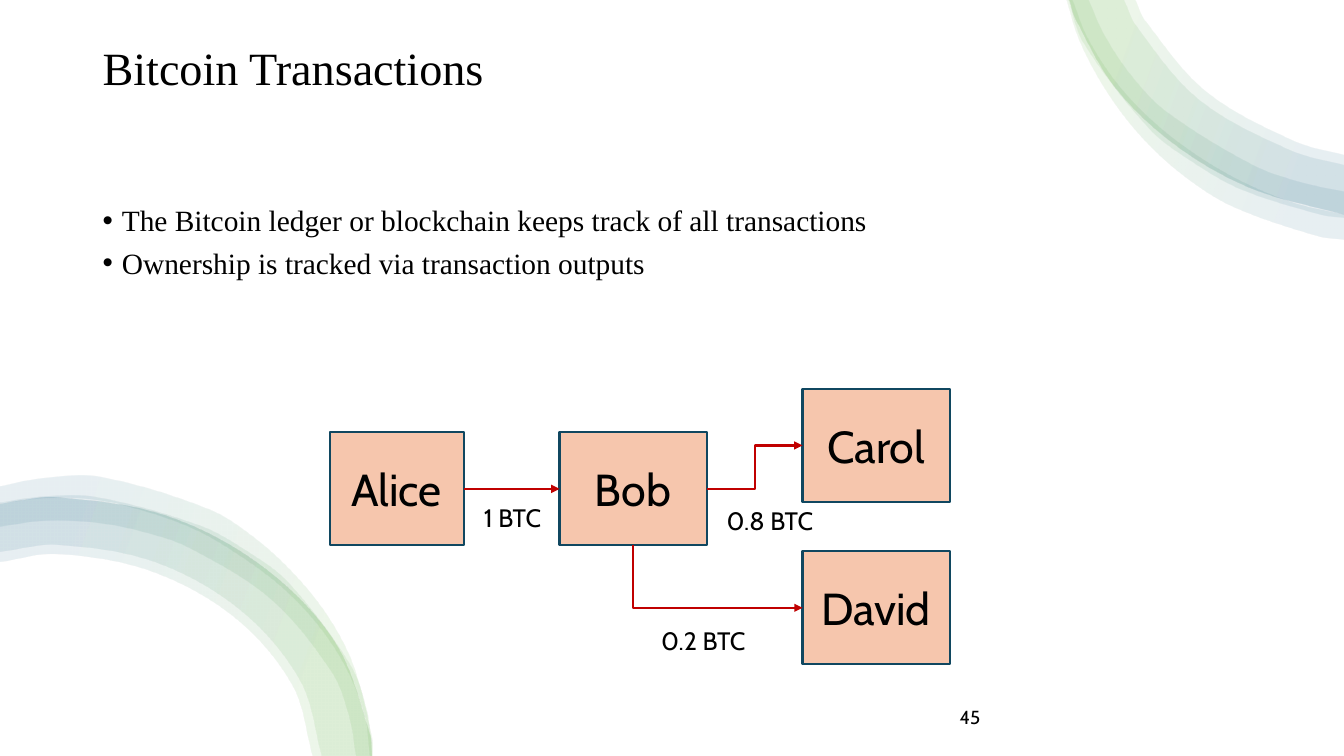
from math import dist

from lxml.etree import SubElement
from pptx import Presentation
from pptx.dml.color import RGBColor
from pptx.enum.shapes import MSO_CONNECTOR, MSO_SHAPE
from pptx.enum.text import MSO_ANCHOR, PP_ALIGN
from pptx.oxml.ns import qn
from pptx.util import Inches, Pt

WIDTH, HEIGHT = 13.33, 7.5
SERIF, SANS = "Times New Roman", "Cabin"
RIBBON_STOPS = [(16, "4EA72E"), (85, "156082")]

TOP_EDGE = [(10.61, 0), (10.67, 0.19), (11.07, 0.88), (11.67, 1.45), (12.41, 1.87), (13.33, 2.13)]
TOP_RIBBONS = [
    ([(10.58, 0), (10.71, 0.41), (10.97, 0.9), (11.31, 1.35), (11.73, 1.74), (12.22, 2.05), (13.05, 2.34),
      (13.33, 2.38)],
     [(13.33, 2.13), (12.85, 2.02), (12.35, 1.82), (11.88, 1.55), (11.45, 1.22), (11.08, 0.83), (10.79, 0.38),
      (10.64, 0)]),
    (TOP_EDGE,
     [(13.33, 1.54), (12.83, 1.4), (11.96, 0.91), (11.36, 0.21), (11.26, 0)]),
    ([(10.6, 0), (10.75, 0.43), (11.4, 1.28), (11.83, 1.61), (12.31, 1.88), (13.1, 2.13), (13.33, 2.16)],
     [(13.33, 1.9), (12.91, 1.81), (12.43, 1.64), (11.57, 1.11), (11.22, 0.75), (10.95, 0.34), (10.8, 0)]),
    (TOP_EDGE,
     [(13.33, 1.64), (12.79, 1.49), (11.89, 0.99), (11.27, 0.26), (11.15, 0)]),
]
BOTTOM_EDGE = [(3.68, 7.5), (3.66, 7.29), (3.31, 6.37), (2.59, 5.62), (1.64, 5.12), (0.56, 4.94), (0, 5)]
BOTTOM_RIBBONS = [
    (BOTTOM_EDGE, [(0, 5.58), (0.56, 5.5), (1.49, 5.67), (2.32, 6.13), (2.89, 6.8), (3.09, 7.5)]),
    (BOTTOM_EDGE, [(0, 5.48), (0.56, 5.41), (1.53, 5.58), (2.38, 6.06), (2.97, 6.76), (3.18, 7.5)]),
    ([(3.68, 7.5), (3.63, 7.06), (3.46, 6.59), (2.85, 5.78), (2.44, 5.47), (1.98, 5.22), (0.97, 4.94),
      (0.44, 4.93), (0, 4.99)],
     [(0, 5.23), (0.45, 5.17), (0.94, 5.19), (1.41, 5.28), (1.87, 5.44), (2.68, 5.95), (3.28, 6.67),
      (3.45, 7.1), (3.52, 7.5)]),
    ([(3.69, 7.5), (3.69, 7.36), (3.5, 6.61), (3.26, 6.14), (2.93, 5.72), (2.53, 5.35), (2.07, 5.06),
      (1, 4.74), (0.43, 4.75), (0, 4.83)],
     [(0, 5), (0.45, 4.95), (0.97, 4.97), (1.47, 5.09), (1.95, 5.27), (2.39, 5.53), (2.8, 5.84), (3.15, 6.21),
      (3.43, 6.64), (3.61, 7.11), (3.66, 7.5)]),
]


def color(value):
    """Turn a hex string into a colour."""
    return RGBColor.from_string(value)


def write(frame, text, size, font=SANS, align=PP_ALIGN.LEFT, spacing=1.0, before=0, bullet=False):
    """Fill a text frame with one paragraph per line of text."""
    frame.word_wrap = True
    for index, line in enumerate(text.split("\n")):
        paragraph = frame.add_paragraph() if index else frame.paragraphs[0]
        paragraph.text = line
        paragraph.alignment = align
        paragraph.line_spacing = spacing
        if index:
            paragraph.space_before = Pt(before)
        if bullet:
            properties = paragraph._p.get_or_add_pPr()
            properties.set("marL", str(Inches(0.19)))
            properties.set("indent", str(-Inches(0.19)))
            SubElement(properties, qn("a:buFont"), typeface="Arial")
            SubElement(properties, qn("a:buChar"), char="•")
        paragraph.font.size = Pt(size)
        paragraph.font.name = font
        paragraph.font.color.rgb = color("000000")


def add_text(slide, box, text, size, **style):
    """Place a text box in the given box."""
    shape = slide.shapes.add_textbox(*map(Inches, box))
    write(shape.text_frame, text, size, **style)


def curve_controls(edge):
    """Give each segment of an edge its two control points and its end."""
    padded = [edge[0], *edge, edge[-1]]
    tangents = [((c[0] - a[0]) / dist(a, c), (c[1] - a[1]) / dist(a, c)) for a, c in zip(padded, padded[2:])]
    for start, end, leaving, arriving in zip(edge, edge[1:], tangents, tangents[1:]):
        reach = dist(start, end) / 3
        yield ((start[0] + reach * leaving[0], start[1] + reach * leaving[1]),
               (end[0] - reach * arriving[0], end[1] - reach * arriving[1]), end)


def bend_edges(shape, outer, inner):
    """Replace the straight segments along both edges of a ribbon by curves."""
    outline = next(shape._element.iter(qn("a:path")))
    lines = outline.findall(qn("a:lnTo"))
    along_outer, along_inner = lines[:len(outer) - 1], lines[len(outer):]
    for segments, edge in ((along_outer, outer), (along_inner, inner)):
        for line, points in zip(segments, curve_controls(edge)):
            curve = SubElement(outline, qn("a:cubicBezTo"))
            for x, y in points:
                SubElement(curve, qn("a:pt"), x=str(Inches(x) - shape.left), y=str(Inches(y) - shape.top))
            outline.replace(line, curve)


def add_ribbons(slide, ribbons, angle):
    """Draw the translucent gradient ribbons of one corner."""
    for outer, inner in ribbons:
        start, *rest = [(Inches(x), Inches(y)) for x, y in outer + inner]
        builder = slide.shapes.build_freeform(*start)
        builder.add_line_segments(rest, close=True)
        shape = builder.convert_to_shape()
        bend_edges(shape, outer, inner)
        shape.shadow.inherit = False
        shape.line.fill.background()
        shape.fill.gradient()
        gradient = shape._element.spPr.find(qn("a:gradFill"))
        for child in list(gradient):
            gradient.remove(child)
        stops = SubElement(gradient, qn("a:gsLst"))
        for position, value in RIBBON_STOPS:
            stop = SubElement(stops, qn("a:gs"), pos=str(position * 1000))
            tone = SubElement(stop, qn("a:srgbClr"), val=value)
            SubElement(tone, qn("a:alpha"), val="10000")
        SubElement(gradient, qn("a:lin"), ang=str(angle * 60000), scaled="0")


def add_person(slide, name, left, top, width):
    """Draw the box of one owner."""
    shape = slide.shapes.add_shape(MSO_SHAPE.RECTANGLE, *map(Inches, (left, top, width, 1.12)))
    shape.shadow.inherit = False
    shape.fill.solid()
    shape.fill.fore_color.rgb = color("F6C6AD")
    shape.line.color.rgb = color("104760")
    shape.line.width = Pt(1.5)
    shape.text_frame.vertical_anchor = MSO_ANCHOR.MIDDLE
    write(shape.text_frame, name, 32, align=PP_ALIGN.CENTER)
    return shape


def add_arrow(slide, kind, source, source_site, target):
    """Connect a site of one box to the left side of another."""
    arrow = slide.shapes.add_connector(kind, 0, 0, 0, 0)
    arrow.begin_connect(source, source_site)
    arrow.end_connect(target, 1)
    arrow.line.color.rgb = color("C00000")
    arrow.line.width = Pt(1.5)
    SubElement(arrow.line._get_or_add_ln(), qn("a:tailEnd"), type="triangle")
    SubElement(arrow._element.spPr, qn("a:effectLst"))
    return arrow


def make_corner(arrow):
    """Turn an elbow arrow into one that runs down and then right."""
    left, top, width, height = arrow.left, arrow.top, arrow.width, arrow.height
    arrow.left, arrow.top = left + (width - height) // 2, top + (height - width) // 2
    arrow.width, arrow.height = height, width
    properties = arrow._element.spPr
    properties.find(qn("a:prstGeom")).set("prst", "bentConnector2")
    frame = properties.find(qn("a:xfrm"))
    frame.set("rot", str(270 * 60000))
    frame.set("flipH", "1")


def add_diagram(slide, left, top):
    """Draw the payments from Alice to Bob and on to Carol and David."""
    alice = add_person(slide, "Alice", left, top + 0.43, 1.33)
    bob = add_person(slide, "Bob", left + 2.28, top + 0.43, 1.46)
    carol, david = [add_person(slide, name, left + 4.69, top + down, 1.46)
                    for name, down in (("Carol", 0), ("David", 1.61))]
    add_arrow(slide, MSO_CONNECTOR.STRAIGHT, alice, 3, bob)
    add_arrow(slide, MSO_CONNECTOR.ELBOW, bob, 3, carol)
    make_corner(add_arrow(slide, MSO_CONNECTOR.ELBOW, bob, 2, david))
    for amount, right, down in (("1 BTC", 1.43, 1.07), ("0.8 BTC", 3.84, 1.1), ("0.2 BTC", 3.19, 2.29)):
        add_text(slide, (left + right, top + down, 1.13, 0.4), amount, 18)


def main():
    """Build the slide and save it."""
    presentation = Presentation()
    presentation.slide_width, presentation.slide_height = Inches(WIDTH), Inches(HEIGHT)
    slide = presentation.slides.add_slide(presentation.slide_layouts[6])
    add_ribbons(slide, TOP_RIBBONS, 20)
    add_ribbons(slide, BOTTOM_RIBBONS, 200)
    add_text(slide, (0.92, 0.4, 11.5, 1.45), "Bitcoin Transactions", 33, font=SERIF, spacing=0.9)
    add_text(slide, (0.92, 2, 11.5, 4.76),
             "The Bitcoin ledger or blockchain keeps track of all transactions\n"
             "Ownership is tracked via transaction outputs",
             21, font=SERIF, spacing=0.9, before=7.5, bullet=True)
    add_text(slide, (9.42, 6.95, 2.25, 0.4), "45", 13.5)
    add_diagram(slide, 3.27, 3.86)
    presentation.save("out.pptx")


if __name__ == "__main__":
    main()
